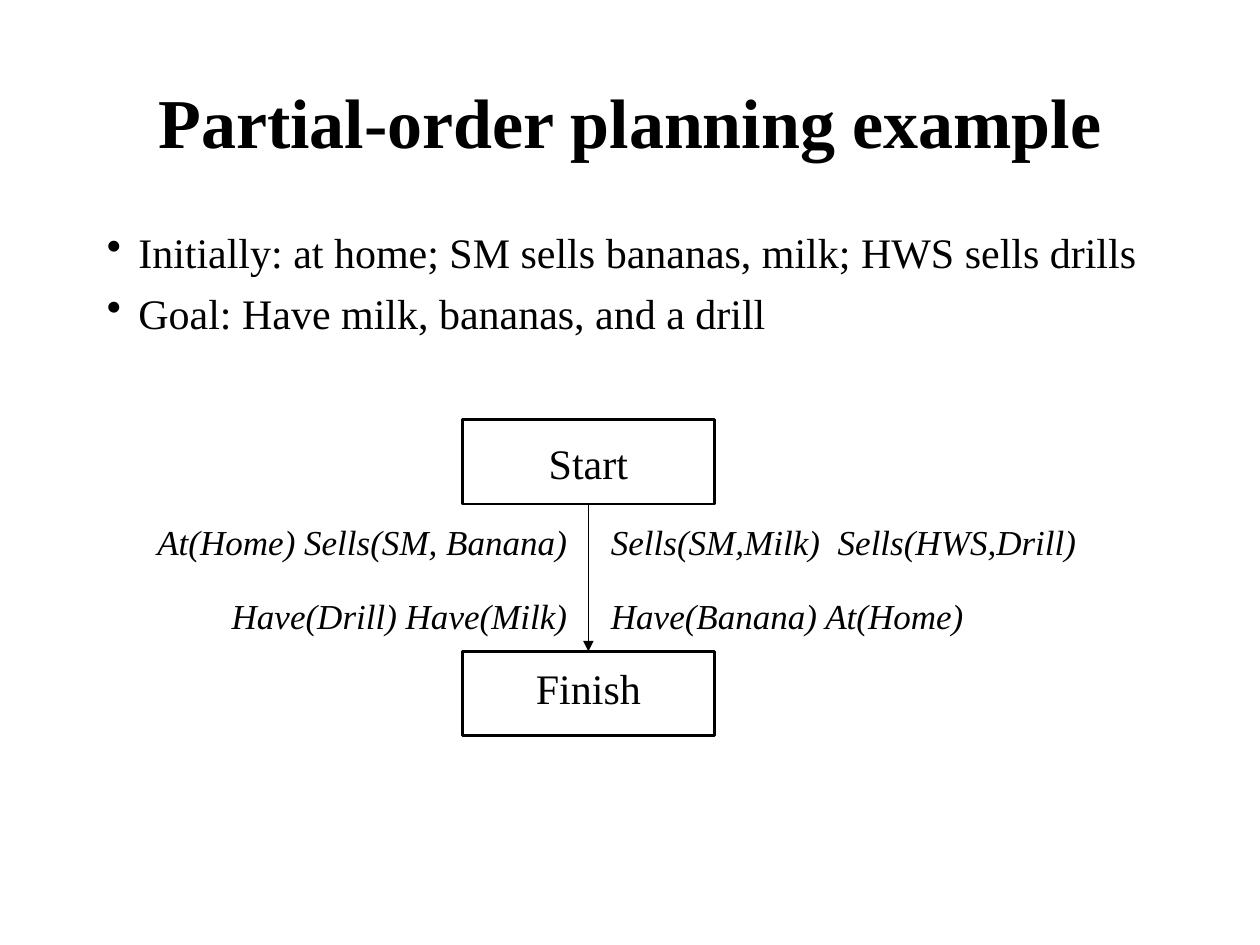
import pptx
import pptx.util
import pptx.dml.color
import pptx.enum.shapes
import pptx.enum.text
import pptx.oxml.ns
from lxml import etree

In, Pt = pptx.util.Inches, pptx.util.Pt
ALIGN = pptx.enum.text.PP_ALIGN
ANCHOR = pptx.enum.text.MSO_ANCHOR
W, H = 10, 7.5
BLACK = "000000"


def rgb(value):
    return pptx.dml.color.RGBColor.from_string(value)


def sub(parent, tag, **attrs):
    return etree.SubElement(parent, pptx.oxml.ns.qn(tag), attrs)


def style(p, size, align=ALIGN.LEFT, bold=False, italic=False):
    p.alignment = align
    f = p.font
    f.name, f.size, f.bold, f.italic = "Times New Roman", Pt(size), bold, italic
    f.color.rgb = rgb(BLACK)


def text_box(s, box, lines, size, anchor=ANCHOR.TOP, **look):
    tf = s.shapes.add_textbox(*map(In, box)).text_frame
    tf.word_wrap = True
    tf.vertical_anchor = anchor
    tf.text = "\n".join(lines)
    for p in tf.paragraphs:
        style(p, size, **look)
    return tf


def title(s, box, text):
    text_box(s, box, [text], 40, ANCHOR.MIDDLE, align=ALIGN.CENTER, bold=True)


def bullets(s, box, lines):
    for p in text_box(s, box, lines, 24).paragraphs:
        p.space_before = Pt(6)
        pPr = p._p.get_or_add_pPr()
        pPr.set("marL", str(In(0.25)))
        pPr.set("indent", str(In(-0.25)))
        sub(pPr, "a:buChar", char="•")


def step(s, box, text, top):
    sp = s.shapes.add_shape(pptx.enum.shapes.MSO_SHAPE.RECTANGLE, *map(In, box))
    sp.shadow.inherit = False
    sp.fill.background()
    sp.line.color.rgb = rgb(BLACK)
    sp.line.width = Pt(1.5)
    tf = sp.text_frame
    tf.vertical_anchor = ANCHOR.TOP
    tf.margin_top = In(top)
    tf.text = text
    style(tf.paragraphs[0], 24, ALIGN.CENTER)
    return sp


def arrow(s, start, finish):
    c = s.shapes.add_connector(pptx.enum.shapes.MSO_CONNECTOR.STRAIGHT, 0, 0, 0, 0)
    c.begin_connect(start, 2)
    c.end_connect(finish, 0)
    c.line.color.rgb = rgb(BLACK)
    c.line.width = Pt(0.75)
    sub(c.line._get_or_add_ln(), "a:tailEnd", type="triangle")
    sub(c._element.spPr, "a:effectLst")


def conditions(s, box, parts, stops):
    tf = text_box(s, box, ["\t".join(parts)], 20, italic=True)
    tf.margin_right = 0
    tabs = sub(tf.paragraphs[0]._p.get_or_add_pPr(), "a:tabLst")
    for stop in stops:
        sub(tabs, "a:tab", pos=str(In(stop - box[0] - 0.1)), algn="l")


def plan(s, box):
    x, y, w, h = box
    step_w, step_h = 2, 0.67
    left = x + 2.52
    start = step(s, (left, y, step_w, step_h), "Start", 0.14)
    finish = step(s, (left, y + h - step_h, step_w, step_h), "Finish", 0.09)
    arrow(s, start, finish)
    right = left + step_w / 2 + 0.18
    conditions(s, (x, y + 0.75, w, 0.44),
               ["At(Home) Sells(SM, Banana)", "Sells(SM,Milk)", "Sells(HWS,Drill)"],
               [right, right + 1.8])
    conditions(s, (x + 0.59, y + 1.34, w - 1.47, 0.44),
               ["Have(Drill) Have(Milk)", "Have(Banana) At(Home)"], [right])


def main():
    prs = pptx.Presentation()
    prs.slide_width, prs.slide_height = In(W), In(H)
    s = prs.slides.add_slide(prs.slide_layouts[6])
    margin = 0.075 * W
    width = W - 2 * margin
    title(s, (margin, 0.33, width, H / 6), "Partial-order planning example")
    bullets(s, (margin, 1.75, width, H / 6),
            ["Initially: at home; SM sells bananas, milk; HWS sells drills",
             "Goal: Have milk, bananas, and a drill"])
    plan(s, (1.15, 3.33, 7.49, 2.51))
    prs.save("out.pptx")


if __name__ == "__main__":
    main()
